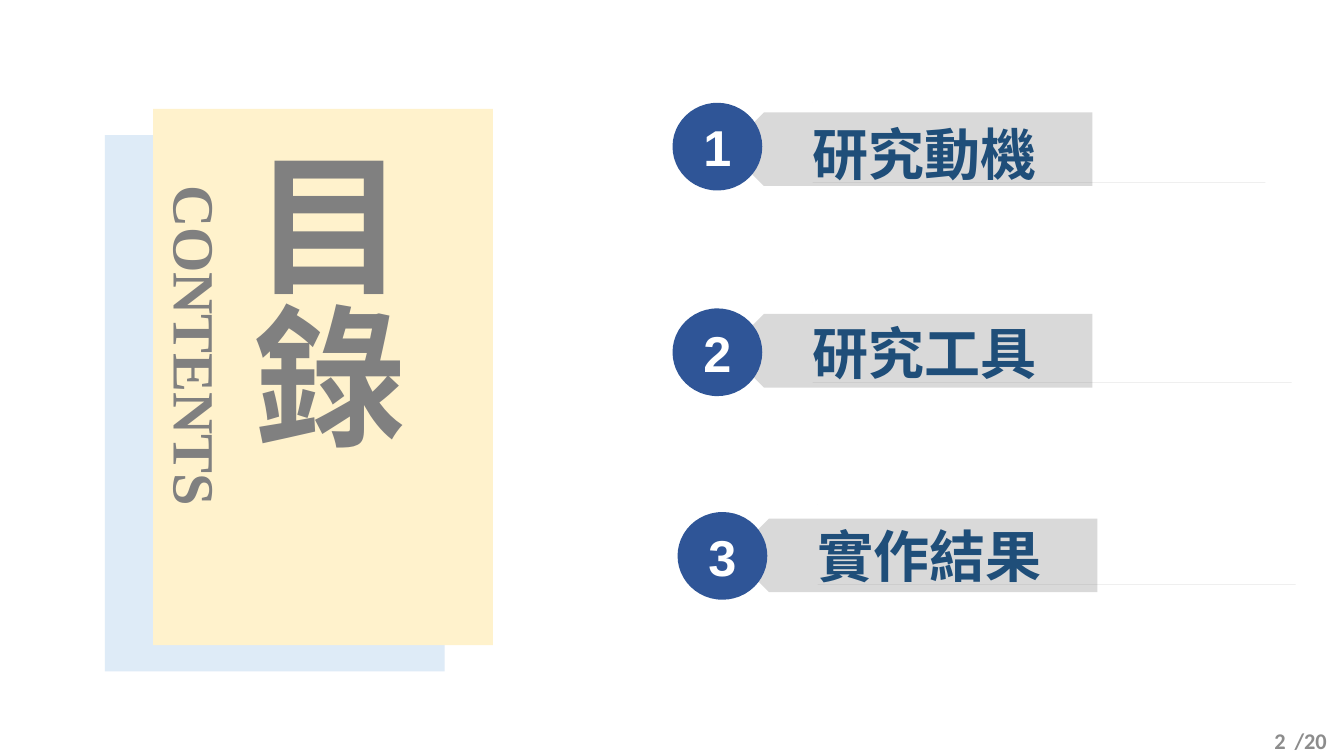
import pptx
import pptx.util
import pptx.dml.color
import pptx.enum.shapes
import pptx.enum.text
import lxml.etree
from dataclasses import dataclass

PX = 9144  # EMU per px, 100 px to the inch


@dataclass(frozen=True)
class Theme:
    back_card: str = "DEEBF7"
    front_card: str = "FFF2CC"
    heading: str = "808080"
    banner: str = "D9D9D9"
    disc: str = "2F5597"
    number: str = "FFFFFF"
    topic: str = "1F4E79"
    page: str = "8C8C8C"
    cjk_font: str = "Noto Sans CJK SC"
    heading_size: float = 109
    contents_size: float = 41.7
    number_size: float = 36
    topic_size: float = 40
    page_size: float = 16


theme = Theme()
kinds = pptx.enum.shapes.MSO_SHAPE
align = pptx.enum.text.PP_ALIGN
anchors = pptx.enum.text.MSO_ANCHOR
grow = pptx.enum.text.MSO_AUTO_SIZE.SHAPE_TO_FIT_TEXT


def paint(shape, color):
    """Give a flat fill without outline or shadow."""
    shape.shadow.inherit = False
    shape.fill.solid()
    shape.fill.fore_color.rgb = pptx.dml.color.RGBColor.from_string(color)
    shape.line.fill.background()
    return shape


def write(shape, words, font, size, color, alignment, anchor=anchors.MIDDLE, inset=0):
    """Put one bold run in the shape and return its paragraph."""
    frame = shape.text_frame
    frame.word_wrap = True
    frame.vertical_anchor = anchor
    frame.margin_left = frame.margin_right = inset * PX
    frame.margin_top = frame.margin_bottom = inset // 2 * PX
    paragraph = frame.paragraphs[0]
    paragraph.alignment = alignment
    run = paragraph.add_run()
    run.text = words
    run.font.size = pptx.util.Pt(size)
    run.font.bold = True
    run.font.color.rgb = pptx.dml.color.RGBColor.from_string(color)
    run.font.name = font
    east_asian = lxml.etree.SubElement(run.font._element, pptx.oxml.ns.qn("a:ea"))
    east_asian.set("typeface", font)
    return paragraph


deck = pptx.Presentation()
deck.slide_width = 1333 * PX
deck.slide_height = 750 * PX
slide = deck.slides.add_slide(deck.slide_layouts[6])
shapes = slide.shapes

# Heading cards
for left, top, color in ((104, 134, theme.back_card), (152, 108, theme.front_card)):
    card = shapes.add_shape(kinds.RECTANGLE, left * PX, top * PX, 337 * PX, 532 * PX)
    paint(card, color)

heading = shapes.add_textbox(230 * PX, 147 * PX, 183 * PX, 393 * PX)
write(heading, "目錄", theme.cjk_font, theme.heading_size, theme.heading, align.CENTER)
heading.text_frame.auto_size = grow
heading.text_frame._txBody.bodyPr.set("vert", "eaVert")

contents = shapes.add_textbox(24 * PX, 308 * PX, 342 * PX, 70 * PX)
contents.rotation = 90
write(contents, "CONTENTS", "Times New Roman", theme.contents_size, theme.heading,
      align.CENTER, anchors.TOP)
contents.text_frame.auto_size = grow

# Topics: text, shift to the right, tops of disc, banner and title, rule end
topics = (
    ("研究動機", 0, 102, -21, 102, 1255),
    ("研究工具", 0, 306, 179, 300, 1281),
    ("實作結果", 5, 508, 382, 501, 1285),
)
for number, (topic, shift, disc_top, banner_top, title_top, rule_end) in enumerate(topics, 1):
    banner = shapes.add_shape(kinds.SNIP_2_SAME_RECTANGLE, (878 + shift) * PX,
                              banner_top * PX, 73 * PX, 338 * PX)
    banner.rotation = 270
    paint(banner, theme.banner)

    rule_start, rule_y = 806 + shift, title_top + 79
    outline = shapes.build_freeform(rule_start, rule_y, scale=PX)
    outline.add_line_segments([(rule_end, rule_y), (rule_start, rule_y)], close=True)
    outline.move_to(rule_start, title_top)
    outline.add_line_segments([(rule_start, title_top)] * 2, close=True)
    title = paint(outline.convert_to_shape(), theme.heading)
    paragraph = write(title, topic, theme.cjk_font, theme.topic_size, theme.topic, align.LEFT)
    paragraph.line_spacing = 1.3
    title.text_frame.auto_size = grow

    disc = shapes.add_shape(kinds.OVAL, (667 + shift) * PX, disc_top * PX, 89 * PX, 87 * PX)
    paint(disc, theme.disc)
    write(disc, str(number), "Arial", theme.number_size, theme.number, align.CENTER)

# Page number
for words, left, width, alignment in (("2", 985, 300, align.RIGHT),
                                      ("/20", 1267, 66, align.CENTER)):
    page = shapes.add_textbox(left * PX, 715 * PX, width * PX, 35 * PX)
    page.height = 40 * PX
    write(page, words, "Calibri", theme.page_size, theme.page, alignment, inset=10)

deck.save("out.pptx")
